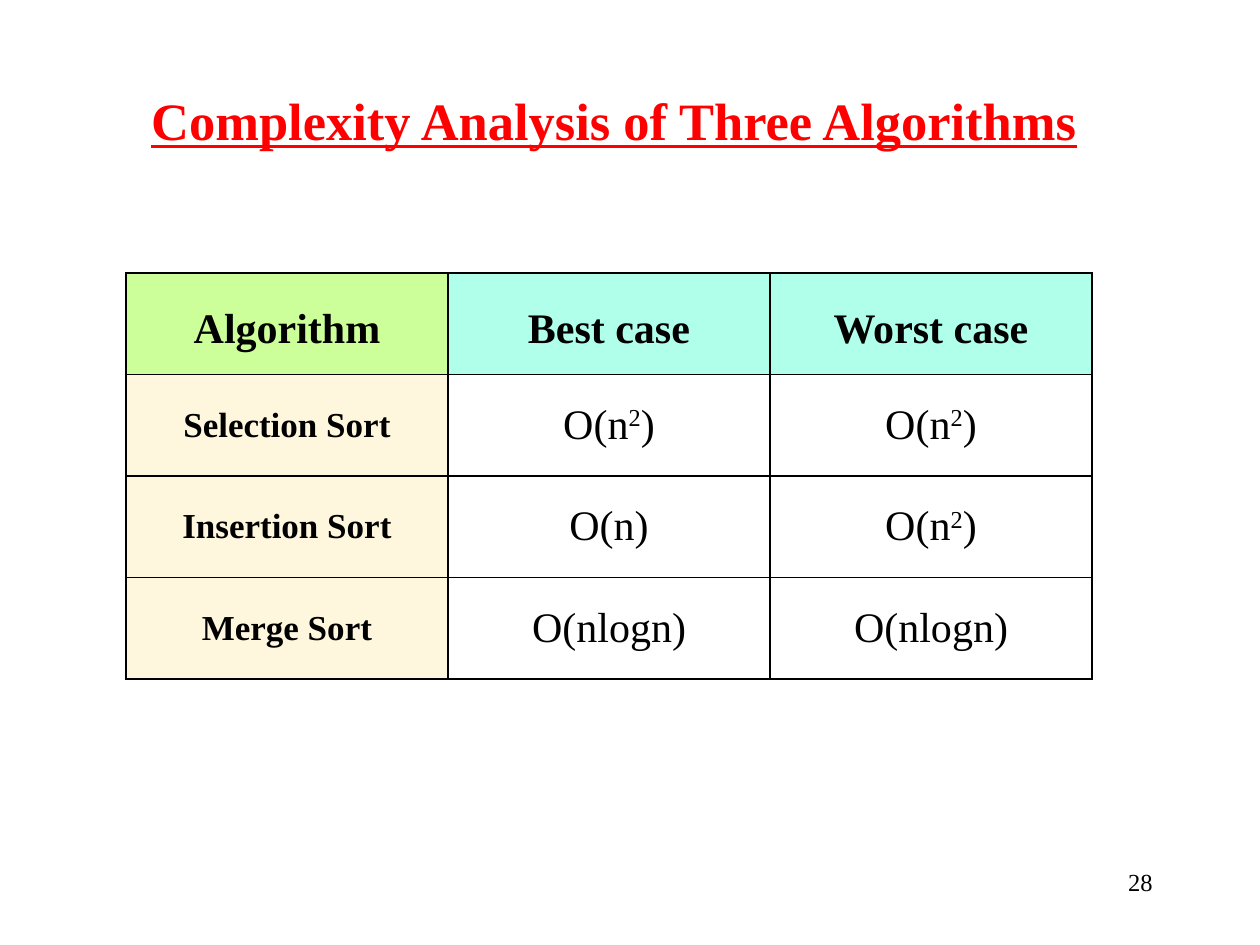
import dataclasses
import typing

import lxml.etree
import pptx
import pptx.dml.color
import pptx.enum.text
import pptx.oxml.ns
import pptx.util

UNIT = 914400 / 126
FACE = "Times New Roman"
BLACK = "000000"
ALIGN = pptx.enum.text.PP_ALIGN
ANCHOR = pptx.enum.text.MSO_ANCHOR


@dataclasses.dataclass
class Style:
    size: int
    bold: bool = False
    line: bool = False
    color: str = BLACK
    align: typing.Any = ALIGN.CENTER
    space: float = 1.0


@dataclasses.dataclass
class Kind:
    style: Style
    fill: str
    anchor: typing.Any = ANCHOR.MIDDLE


HEAD = Style(24, bold=True, space=1.5)
CORNER = Kind(HEAD, "CCFF99", ANCHOR.TOP)
TOP = Kind(HEAD, "AFFFEA", ANCHOR.TOP)
NAME = Kind(Style(20, bold=True), "FEF7DE")
COST = Kind(Style(24), "FFFFFF")

ROWS = [
    ("Algorithm", "Best case", "Worst case"),
    ("Selection Sort", "O(n^2^)", "O(n^2^)"),
    ("Insertion Sort", "O(n)", "O(n^2^)"),
    ("Merge Sort", "O(nlogn)", "O(nlogn)"),
]


def px(count: int) -> int:
    return round(count * UNIT)


def rgb(code: str) -> pptx.dml.color.RGBColor:
    return pptx.dml.color.RGBColor.from_string(code)


def place(shape: typing.Any, left: int, top: int, width: int, height: int) -> None:
    shape.left, shape.top = px(left), px(top)
    shape.width, shape.height = px(width), px(height)


def write(frame: typing.Any, text: str, style: Style) -> None:
    para = frame.paragraphs[0]
    para.alignment = style.align
    para.line_spacing = style.space
    font = para.font
    font.name, font.size = FACE, pptx.util.Pt(style.size)
    font.bold, font.underline = style.bold, style.line
    font.color.rgb = rgb(style.color)
    for index, part in enumerate(text.split("^")):
        run = para.add_run()
        run.text = part
        if index % 2:
            run.font._element.set("baseline", "30000")


def border(cell: typing.Any) -> None:
    props = cell._tc.get_or_add_tcPr()
    name = pptx.oxml.ns.qn
    for index, side in enumerate(("lnL", "lnR", "lnT", "lnB")):
        line = lxml.etree.Element(name(f"a:{side}"), w=str(pptx.util.Pt(1)))
        fill = lxml.etree.SubElement(line, name("a:solidFill"))
        lxml.etree.SubElement(fill, name("a:srgbClr"), val=BLACK)
        props.insert(index, line)


def draw(cell: typing.Any, text: str, kind: Kind) -> None:
    cell.fill.solid()
    cell.fill.fore_color.rgb = rgb(kind.fill)
    cell.vertical_anchor = kind.anchor
    cell.margin_top = cell.margin_bottom = px(10)
    write(cell.text_frame, text, kind.style)
    border(cell)


def grid(slide: typing.Any) -> None:
    shape = slide.shapes.add_table(
        len(ROWS), len(ROWS[0]), px(126), px(273), px(966), px(406)
    )
    table = shape.table
    table.first_row = table.horz_banding = False
    for row, texts in enumerate(ROWS):
        for col, text in enumerate(texts):
            if row == 0:
                kind = TOP if col else CORNER
            else:
                kind = COST if col else NAME
            draw(table.cell(row, col), text, kind)


def main() -> None:
    deck = pptx.Presentation()
    deck.slide_width, deck.slide_height = px(1260), px(945)
    slide = deck.slides.add_slide(deck.slide_layouts[5])

    title = slide.shapes.title
    place(title, 105, 63, 1018, 113)
    title.text_frame.auto_size = pptx.enum.text.MSO_AUTO_SIZE.NONE
    title.text_frame.vertical_anchor = ANCHOR.MIDDLE
    write(
        title.text_frame,
        "Complexity Analysis of Three Algorithms",
        Style(30, bold=True, line=True, color="FF0000"),
    )

    grid(slide)

    page = slide.shapes.add_textbox(px(903), px(861), px(262), px(63))
    page.text_frame.word_wrap = True
    write(page.text_frame, "28", Style(14, align=ALIGN.RIGHT))

    deck.save("out.pptx")


if __name__ == "__main__":
    main()
